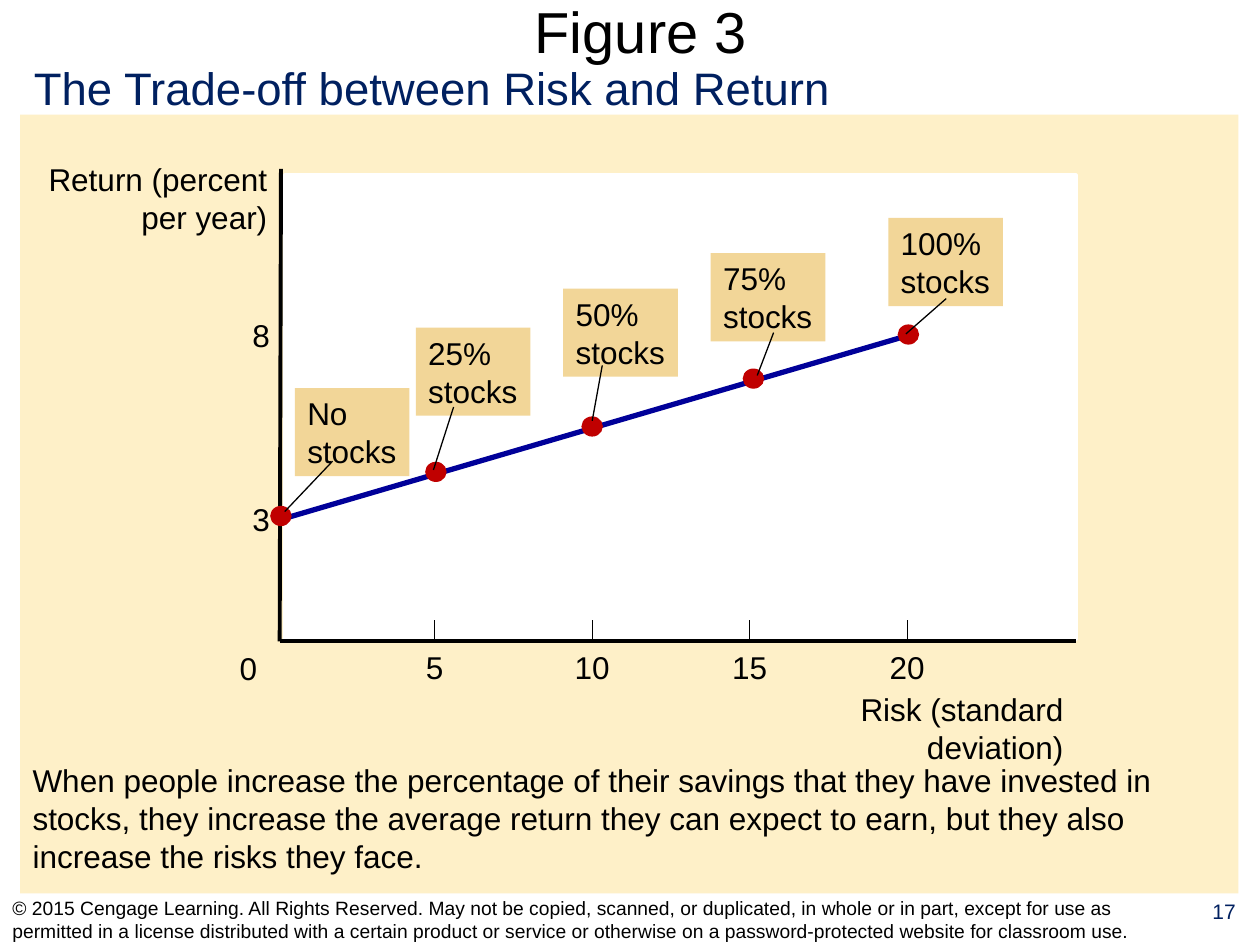
from lxml.etree import SubElement as Sub
from pptx import Presentation
from pptx.dml.color import RGBColor as RGB
from pptx.enum.shapes import MSO_CONNECTOR as Conn, MSO_SHAPE as Shape
from pptx.enum.text import MSO_ANCHOR as Anchor, PP_ALIGN as Align
from pptx.oxml.ns import qn
from pptx.util import Inches, Pt

COLORS = {
    "black": "000000", "white": "FFFFFF", "navy": "002060", "cream": "FEF0C8",
    "tan": "F2D698", "blue": "000099", "red": "C00000",
}

# Callout word, dot corner, callout corner, leader start and end,
# all measured from the top left of the plot
POINTS = [
    ("No", (-0.07, 2.68), (0.12, 1.74), (0.42, 2.32), (0.04, 2.72)),
    ("25%", (1.16, 2.33), (1.08, 1.26), (1.38, 1.89), (1.22, 2.39)),
    ("50%", (2.4, 1.97), (2.25, 0.95), (2.56, 1.56), (2.48, 2.0)),
    ("75%", (3.68, 1.59), (3.42, 0.67), (3.92, 1.3), (3.79, 1.64)),
    ("100%", (4.91, 1.24), (4.83, 0.39), (5.29, 1.03), (4.97, 1.31)),
]


def color(name):
    return RGB.from_string(COLORS[name])


def write(shape, lines, size=18, ink="black", align=Align.LEFT, wrap=True):
    frame = shape.text_frame
    frame.text = "\n".join(lines)
    frame.word_wrap = wrap
    for para in frame.paragraphs:
        para.alignment = align
        para.font.name = "Arial"
        para.font.size = Pt(size)
        para.font.color.rgb = color(ink)
    return frame


def label(slide, box, text, **style):
    shape = slide.shapes.add_textbox(*map(Inches, box))
    return write(shape, [text], **style)


def block(slide, kind, box, fill, edge=None, width=0.75):
    shape = slide.shapes.add_shape(kind, *map(Inches, box))
    shape.shadow.inherit = False
    shape.fill.solid()
    shape.fill.fore_color.rgb = color(fill)
    if edge:
        shape.line.color.rgb = color(edge)
        shape.line.width = Pt(width)
    else:
        shape.line.fill.background()
    return shape


def rule(slide, start, end, ink="black", width=0.75):
    line = slide.shapes.add_connector(
        Conn.STRAIGHT, *map(Inches, (*start, *end)))
    line.line.color.rgb = color(ink)
    line.line.width = Pt(width)
    Sub(line._element.spPr, qn("a:effectLst"))


def head(slide, box):
    title = slide.shapes.title
    title.left, title.top, title.width, title.height = map(Inches, box)
    frame = write(title, ["Figure 3"], 33, align=Align.CENTER)
    frame.vertical_anchor = Anchor.MIDDLE
    frame.margin_left = frame.margin_right = 0
    frame.margin_top = frame.margin_bottom = 0
    label(slide, (0.17, 0.43, 6.55, 0.54),
          "The Trade-off between Risk and Return",
          size=26, ink="navy", wrap=False)


def graph(slide, box):
    left, top, wide, high = box

    def at(x, y, *size):
        return (left + x, top + y, *size)

    # Axes and plot area
    rule(slide, at(0.01, 0), at(0, high), width=2.25)
    block(slide, Shape.RECTANGLE, at(0.04, 0.05, wide - 0.04, high - 0.07),
          "white", "white", 2)
    rule(slide, at(0, high), at(wide, high), width=2.25)

    # Axis names and numbers
    label(slide, at(-2.01, -0.12, 2.01, 0.7), "Return (percent per year)",
          align=Align.RIGHT)
    label(slide, at(wide - 2.96, high + 0.34, 2.96, 0.4),
          "Risk (standard deviation)", align=Align.RIGHT, wrap=False)
    for text, x, y in (("8", -0.32, 1.12), ("3", -0.32, 2.58),
                       ("0", -0.42, high + 0.01)):
        label(slide, at(x, y, 0.34, 0.4), text, align=Align.RIGHT, wrap=False)
    for i, text in enumerate(("5", "10", "15", "20")):
        x = 1.23 + 1.25 * i
        rule(slide, at(x, high), at(x, high - 0.17))
        label(slide, at(x - 0.24, high, 0.48, 0.4), text,
              align=Align.CENTER, wrap=False)

    # Trade-off line, then dots, callouts and leaders
    rule(slide, at(0.02, 2.78), at(5.03, 1.31), "blue", 3)
    for word, dot, note, start, end in POINTS:
        block(slide, Shape.OVAL, at(*dot, 0.16, 0.15), "red", "red")
        card = block(slide, Shape.RECTANGLE, at(*note, 0.91, 0.7), "tan")
        write(card, [word, "stocks"], wrap=False).vertical_anchor = Anchor.TOP
        rule(slide, at(*start), at(*end))


def foot(slide, box):
    left, top, wide, high = box
    note = label(
        slide, (left, top + 0.02, wide - 0.58, high - 0.02),
        "© 2015 Cengage Learning. All Rights Reserved. May not be copied, "
        "scanned, or duplicated, in whole or in part, except for use as "
        "permitted in a license distributed with a certain product or service "
        "or otherwise on a password-protected website for classroom use.",
        size=11)
    note.vertical_anchor = Anchor.MIDDLE
    label(slide, (left + wide - 0.57, top, 0.57, high), "17",
          size=12, ink="navy", align=Align.CENTER)


def main():
    deck = Presentation()
    deck.slide_width, deck.slide_height = Inches(10), Inches(7.5)
    slide = deck.slides.add_slide(deck.slide_layouts[5])
    block(slide, Shape.RECTANGLE, (0.16, 0.91, 9.67, 6.18), "cream")
    head(slide, (0.35, 0, 9.47, 0.49))
    graph(slide, (2.22, 1.34, 6.32, 3.75))
    label(slide, (0.16, 5.99, 9.82, 1),
          "When people increase the percentage of their savings that they "
          "have invested in stocks, they increase the average return they can "
          "expect to earn, but they also increase the risks they face.")
    foot(slide, (0, 7.08, 10, 0.42))
    deck.save("out.pptx")


if __name__ == "__main__":
    main()
